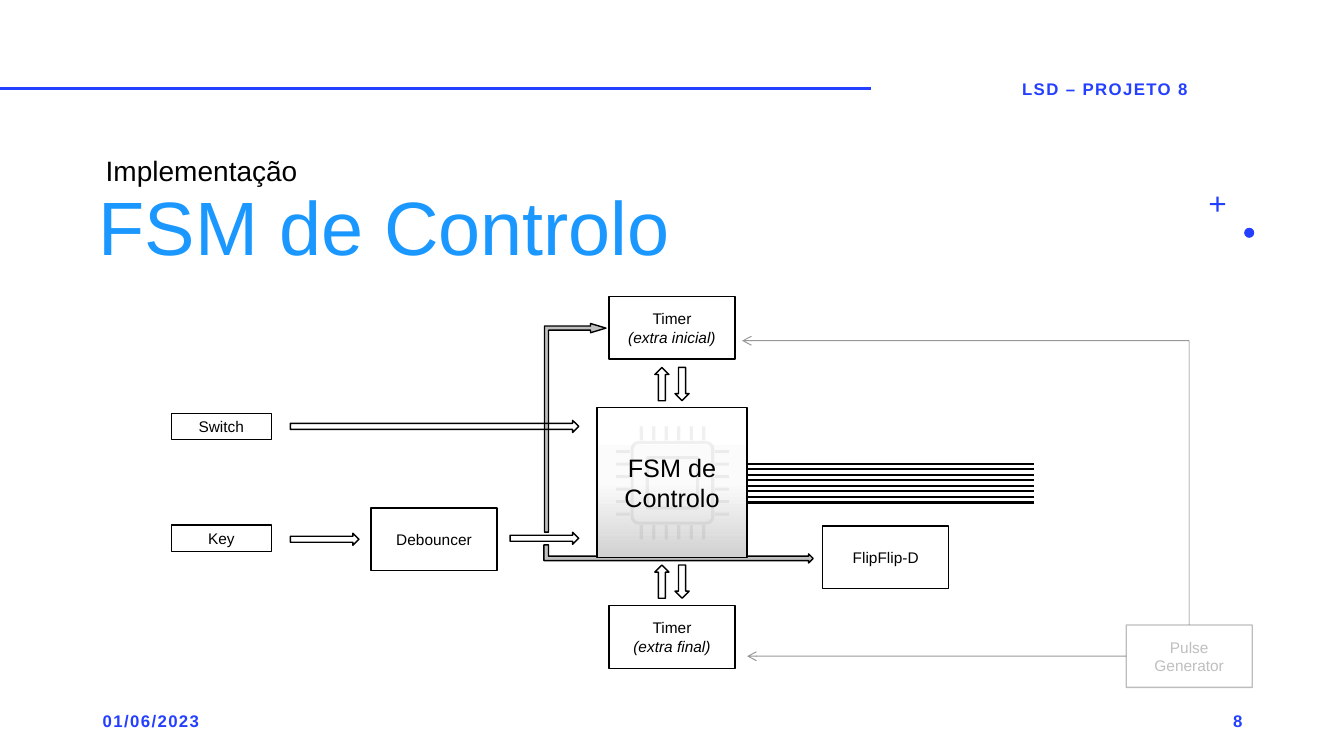
from copy import deepcopy

from pptx import Presentation
from pptx.dml.color import RGBColor
from pptx.enum.shapes import MSO_CONNECTOR as Connector, MSO_SHAPE as Shape
from pptx.enum.text import MSO_ANCHOR as Anchor, PP_ALIGN as Align
from pptx.oxml.ns import qn
from pptx.oxml.xmlchemy import OxmlElement
from pptx.util import Inches, Pt

BLACK, BLUE, SKY, GREY = "000000", "243FFF", "1A98FF", "BFBFBF"
NODE_WIDTH, NODE_HEIGHT = 1.25, 0.62


def color(value):
    """Turn a hex string into a colour."""
    return RGBColor.from_string(value)


def style_line(item, width, value=BLACK, opacity=100):
    """Set the width, colour and opacity of an outline or connector."""
    item.line.width = Pt(width)
    item.line.color.rgb = color(value)
    if opacity < 100:
        alpha = OxmlElement("a:alpha")
        alpha.set("val", str(opacity * 1000))
        item.line._ln.find(".//" + qn("a:srgbClr")).append(alpha)


def write(item, lines, size, value=BLACK, align=Align.CENTER, anchor=Anchor.MIDDLE,
          bold=False, spacing=None, tracking=0, italic_from=1):
    """Write one paragraph per line, in italics from the given line on."""
    frame = item.text_frame
    frame.word_wrap = True
    frame.vertical_anchor = anchor
    frame.text = "\n".join(lines)
    for index, para in enumerate(frame.paragraphs):
        para.alignment = align
        para.line_spacing = spacing
        for span in para.runs:
            span.font.name = "Arial"
            span.font.size = Pt(size)
            span.font.bold = bold
            span.font.italic = index >= italic_from
            span.font.color.rgb = color(value)
            if tracking:
                span._r.get_or_add_rPr().set("spc", str(tracking))


def add_label(page, left, top, width, height, text, size, **options):
    """Add a text box with one line of text."""
    box = page.shapes.add_textbox(Inches(left), Inches(top), Inches(width), Inches(height))
    write(box, [text], size, **options)


def add_figure(page, kind, left, top, width, height, fill=None, line=1, opacity=100):
    """Add a preset shape with an optional fill and outline."""
    figure = page.shapes.add_shape(kind, Inches(left), Inches(top), Inches(width), Inches(height))
    figure.shadow.inherit = False
    if fill:
        figure.fill.solid()
        figure.fill.fore_color.rgb = color(fill)
    else:
        figure.fill.background()
    if line:
        style_line(figure, line, opacity=opacity)
    else:
        figure.line.fill.background()
    return figure


def add_line(page, start, end, width, value=BLACK, opacity=100, arrow=False):
    """Add a straight line, with an open arrowhead at its end if asked."""
    link = page.shapes.add_connector(Connector.STRAIGHT, *map(Inches, start + end))
    style_line(link, width, value, opacity)
    link._element.spPr.append(OxmlElement("a:effectLst"))
    if arrow:
        head = OxmlElement("a:tailEnd")
        head.set("type", "arrow")
        link.line._ln.append(head)
    return link


def add_node(page, left, top, lines, width=NODE_WIDTH, height=NODE_HEIGHT):
    """Add a labelled block of the diagram."""
    write(add_figure(page, Shape.RECTANGLE, left, top, width, height), lines, 11)


def draw_frame(page, left, top, right, bottom):
    """Draw the header rule, header text, ornaments, date and page number."""
    add_line(page, (left, top + 0.88), (left + 8.64, top + 0.88), 2, BLUE)
    add_figure(page, Shape.OVAL, right - 0.99, top + 2.26, 0.1, 0.1, BLUE, line=0)
    plus = add_figure(page, Shape.CROSS, right - 1.33, top + 1.95, 0.15, 0.15, BLUE, line=0)
    plus.adjustments[0] = 0.43
    for label_left, label_top, width, text, align in (
            (left + 0.92, bottom - 0.55, 3, "01/06/2023", Align.LEFT),
            (right - 4.62, top + 0.68, 4.5, "LSD – PROJETO 8", Align.CENTER),
            (right - 3.91, bottom - 0.55, 3, "8", Align.RIGHT)):
        add_label(page, label_left, label_top, width, 0.4, text, 12, value=BLUE,
                  align=align, bold=True, tracking=100)


def draw_heading(page, left, top, width, height):
    """Draw the section name above the title."""
    for offset_x, offset_y, text, size, value in (
            (0, 0.84, "FSM de Controlo", 54, SKY), (0.07, 0, "Implementação", 20, BLACK)):
        add_label(page, left + offset_x, top + offset_y, width, height, text, size,
                  value=value, align=Align.LEFT, anchor=Anchor.BOTTOM, spacing=0.9)


def draw_feedback(page, left, top):
    """Draw the two bent arrows that run behind the controller."""
    upper = add_figure(page, Shape.BENT_ARROW, left, top, 0.61, 2.07, GREY)
    for index, value in enumerate((0.067, 0.075, 0.25, 0)):
        upper.adjustments[index] = value
    lower = add_figure(page, Shape.BENT_UP_ARROW, left + 1.24, top + 0.95, 0.18, 2.67, GREY)
    lower.rotation = 90


def draw_chip(page, left, top, size):
    """Draw a faint chip symbol with six pins on each side."""
    pin, inset = 0.14, 0.16
    frame_size, core_size = size - 2 * inset, size - 0.62
    for kind, part in ((Shape.ROUNDED_RECTANGLE, frame_size), (Shape.RECTANGLE, core_size)):
        margin = (size - part) / 2
        figure = add_figure(page, kind, left + margin, top + margin, part, part,
                            line=2.25, opacity=5)
        if kind == Shape.ROUNDED_RECTANGLE:
            figure.adjustments[0] = 0.08
    for index in range(6):
        along = 0.25 + index * (size - 0.5) / 5
        for near in (0, size - pin):
            add_line(page, (left + near, top + along), (left + near + pin, top + along),
                     2.25, opacity=5)
            add_line(page, (left + along, top + near), (left + along, top + near + pin),
                     2.25, opacity=5)


def draw_controller(page, left, top, size):
    """Draw the shaded controller block with its chip and output lines."""
    block = add_figure(page, Shape.RECTANGLE, left, top, size, size)
    block.fill.gradient()
    block.fill.gradient_angle = 270
    stops = block._element.spPr.find(".//" + qn("a:gsLst"))
    stops.insert(1, deepcopy(stops[0]))
    shades = ((0, "FFFFFF"), (0.5, "FBFBFB"), (1, "D1D1D1"))
    for stop, (position, value) in zip(block.fill.gradient_stops, shades):
        stop.position = position
        stop.color.rgb = color(value)
    write(block, ["FSM de Controlo"], 18)
    draw_chip(page, left + 0.19, top + 0.19, 1.12)
    for index in range(8):
        height = top + 0.56 + index * 0.055
        add_line(page, (left + size, height), (left + size + 2.85, height), 1.5)


def draw_inputs(page, left, top):
    """Draw the switch, key and debouncer with their arrows."""
    add_node(page, left, top, ["Switch"], 0.99, 0.26)
    add_node(page, left, top + 1.11, ["Key"], 0.99, 0.26)
    add_node(page, left + 1.98, top + 0.94, ["Debouncer"])
    for offset_x, offset_y, width in ((1.18, 0.07, 2.86), (1.18, 1.19, 0.68), (3.36, 1.18, 0.68)):
        add_figure(page, Shape.RIGHT_ARROW, left + offset_x, top + offset_y, width, 0.12)


def draw_timer(page, left, top, note, arrows_top):
    """Draw a timer block and its pair of vertical arrows."""
    add_node(page, left, top, ["Timer", note])
    for offset, rotation in ((0.56, 90), (0.36, 270)):
        arrow = add_figure(page, Shape.RIGHT_ARROW, left + offset, arrows_top, 0.33, 0.14)
        arrow.rotation = rotation


def draw_pulse(page, left, top):
    """Draw the faded pulse generator and its links to the timers."""
    generator = add_figure(page, Shape.RECTANGLE, left, top, NODE_WIDTH, NODE_HEIGHT, opacity=25)
    write(generator, ["Pulse Generator"], 11, GREY)
    middle, center = top + NODE_HEIGHT / 2, left + NODE_WIDTH / 2
    corner = (center, top - 2.82)
    low = add_line(page, (left, middle), (left - 3.76, middle), 0.75, opacity=40, arrow=True)
    low.begin_connect(generator, 1)
    riser = add_line(page, (center, top), corner, 1, opacity=20)
    riser.begin_connect(generator, 0)
    add_line(page, corner, (left - 3.81, corner[1]), 0.75, opacity=40, arrow=True)


def main():
    """Build the slide and save the deck."""
    deck = Presentation()
    deck.slide_width, deck.slide_height = Inches(13.33), Inches(7.5)
    page = deck.slides.add_slide(deck.slide_layouts[6])
    draw_frame(page, 0, 0, 13.33, 7.5)
    draw_feedback(page, 5.4, 3.21)
    draw_heading(page, 0.88, 0.62, 6.77, 1.29)
    draw_controller(page, 5.92, 4.04, 1.49)
    draw_inputs(page, 1.7, 4.1)
    draw_timer(page, 6.04, 2.94, "(extra inicial)", 3.74)
    draw_timer(page, 6.04, 6.01, "(extra final)", 5.7)
    add_node(page, 8.16, 5.22, ["FlipFlip-D"])
    draw_pulse(page, 11.17, 6.2)
    deck.save("out.pptx")


if __name__ == "__main__":
    main()
